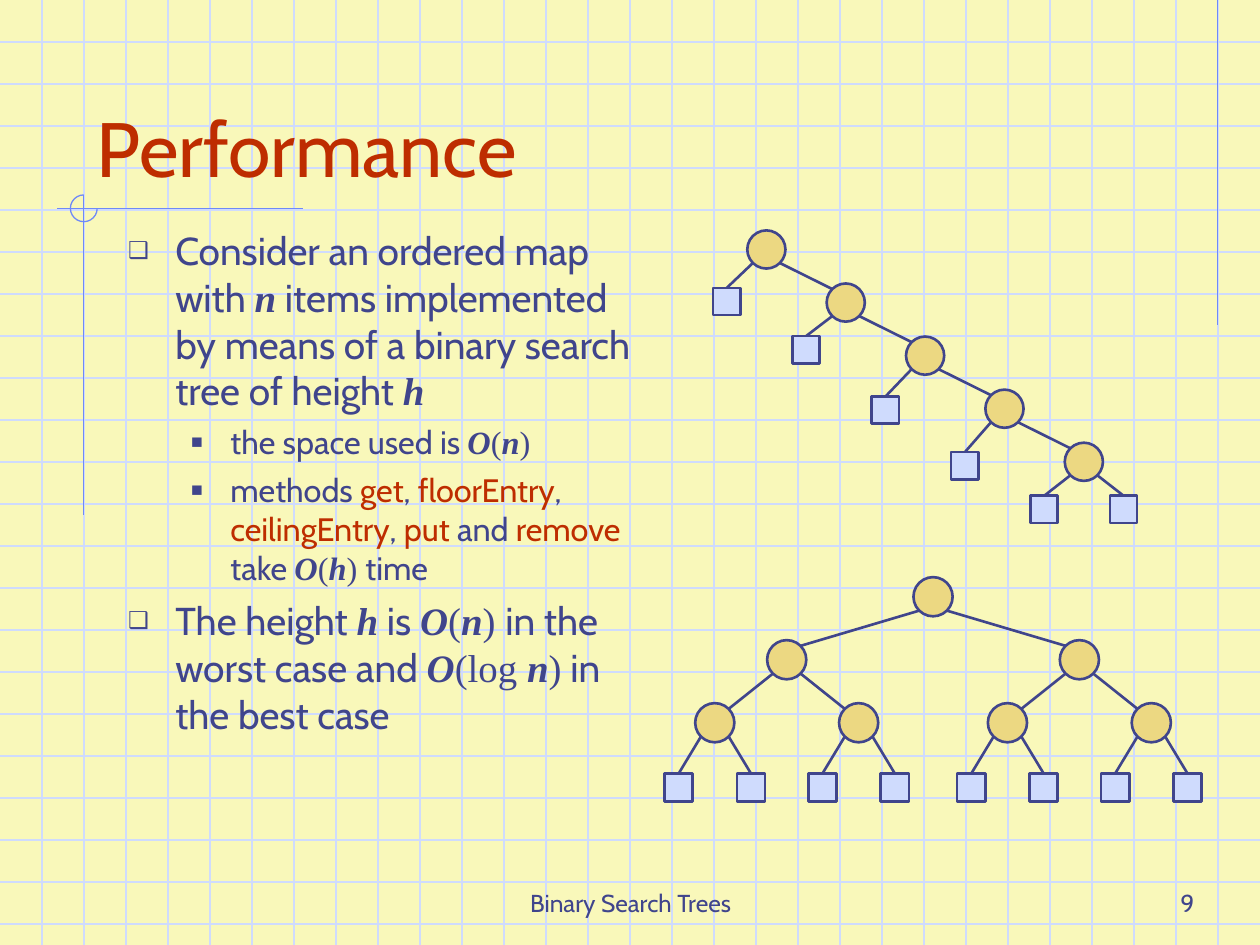
from lxml import etree
from pptx import Presentation
from pptx.dml.color import RGBColor
from pptx.enum.shapes import MSO_CONNECTOR, MSO_SHAPE
from pptx.enum.text import MSO_ANCHOR, MSO_AUTO_SIZE, PP_ALIGN
from pptx.oxml.ns import qn
from pptx.util import Cm, Pt

STRAIGHT = MSO_CONNECTOR.STRAIGHT
OVAL, RECTANGLE, ARC = MSO_SHAPE.OVAL, MSO_SHAPE.RECTANGLE, MSO_SHAPE.ARC
LEFT, CENTER, RIGHT = PP_ALIGN.LEFT, PP_ALIGN.CENTER, PP_ALIGN.RIGHT
BOTTOM = MSO_ANCHOR.BOTTOM

PAPER, GRID, RULE = "F9F8BA", "CFDBFD", "6F89F7"
INK, RED, GOLD = "40458C", "BE2D00", "ECD882"
SANS, SERIF = "Cabin", "Times New Roman"
WIDTH, HEIGHT, GRID_STEP = 25.4, 19.05, 2.54 / 3

# Run styles: font, bold italic, colour
WORDS, VARIABLE, MATH, METHOD = (
    (SANS, False, INK), (SERIF, True, INK), (SERIF, False, INK), (SANS, False, RED))

TITLE = "Performance"
# Level, then runs
POINTS = [
    (0, [("Consider an ordered map with ", WORDS), ("n", VARIABLE),
         (" items implemented by means of a binary search tree of height ", WORDS),
         ("h", VARIABLE)]),
    (1, [("the space used is ", WORDS), ("O", VARIABLE), ("(", MATH),
         ("n", VARIABLE), (")", MATH)]),
    (1, [("methods ", WORDS), ("get", METHOD), (", ", WORDS), ("floorEntry", METHOD),
         (", ", WORDS), ("ceilingEntry", METHOD), (",", WORDS), (" put ", METHOD),
         ("and ", WORDS), ("remove", METHOD), (" take ", WORDS), ("O", VARIABLE),
         ("(", MATH), ("h", VARIABLE), (") ", MATH), ("time", WORDS)]),
    (0, [("The height ", WORDS), ("h", VARIABLE), (" is ", WORDS), ("O", VARIABLE),
         ("(", MATH), ("n", VARIABLE), (") ", MATH), ("in the worst case and ", WORDS),
         ("O", VARIABLE), ("(log ", MATH), ("n", VARIABLE), (")", MATH),
         (" in the best case", WORDS)]),
]
# Per level: bullet, size, space before, left margin, hanging indent
LEVELS = [("❑", 22.2, 6, 0.95, 0.95), ("■", 18.5, 5, 2.06, 0.79)]
# Text, alignment, left, width
FOOTERS = [("Binary Search Trees", CENTER, 8.69, 8.05), ("9", RIGHT, 19.05, 5.28)]
# Start x, start y, end x, end y
RULES = [(24.55, 0, 24.55, 6.55), (6.1, 4.21, 1.14, 4.21), (1.69, 3.93, 1.69, 10.39)]

# Trees are nested (x, y, children); a leaf has no children
SKEWED_ROOT, SKEWED_STEP = (15.45, 5.03), (1.6, 1.07)
SKEWED_LEAF_Y = [6.08, 7.05, 8.27, 9.39, 10.27]
FULL_ROOT = (18.81, 12.03)
# Half the gap between two siblings, and their y
FULL_LEVELS = [(2.95, 13.3), (1.45, 14.57), (0.73, 15.88)]


def color(hex_code):
    return RGBColor.from_string(hex_code)


def add_line(x1, y1, x2, y2, hue, points):
    line = slide.shapes.add_connector(STRAIGHT, Cm(x1), Cm(y1), Cm(x2), Cm(y2))
    line.line.color.rgb = color(hue)
    line.line.width = Pt(points)
    etree.SubElement(line._element.spPr, qn("a:effectLst"))


def add_centered(kind, x, y, size, fill, outline, points):
    """Add a square-sized shape around (x, y); a fill of None leaves it open."""
    shape = slide.shapes.add_shape(
        kind, Cm(x - size / 2), Cm(y - size / 2), Cm(size), Cm(size))
    shape.shadow.inherit = False
    if fill:
        shape.fill.solid()
        shape.fill.fore_color.rgb = color(fill)
    else:
        shape.fill.background()
    shape.line.color.rgb = color(outline)
    shape.line.width = Pt(points)
    return shape


def add_run(paragraph, text, size, style):
    run = paragraph.add_run()
    run.text = text
    font = run.font
    font.size = Pt(size)
    font.name, font.bold, hue = style
    font.italic = font.bold
    font.color.rgb = color(hue)


def place(box, left, top, width, height):
    box.left, box.top, box.width, box.height = Cm(left), Cm(top), Cm(width), Cm(height)
    box.text_frame.word_wrap = True
    box.text_frame.auto_size = MSO_AUTO_SIZE.NONE


def set_bullet(paragraph, mark, margin, hang):
    props = paragraph._p.get_or_add_pPr()
    props.set("marL", str(Cm(margin)))
    props.set("indent", str(-Cm(hang)))
    hue = etree.SubElement(props, qn("a:buClr"))
    etree.SubElement(hue, qn("a:srgbClr"), val=INK)
    etree.SubElement(props, qn("a:buSzPct"), val="60000")
    etree.SubElement(props, qn("a:buChar"), char=mark)


def skewed_tree(depth=0):
    x = SKEWED_ROOT[0] + depth * SKEWED_STEP[0]
    y = SKEWED_ROOT[1] + depth * SKEWED_STEP[1]
    half, leaf_y = SKEWED_STEP[0] / 2, SKEWED_LEAF_Y[depth]
    is_last = depth == len(SKEWED_LEAF_Y) - 1
    right = (x + half, leaf_y, []) if is_last else skewed_tree(depth + 1)
    return x, y, [(x - half, leaf_y, []), right]


def full_tree(x, y, levels):
    if not levels:
        return x, y, []
    half, child_y = levels[0]
    return x, y, [full_tree(x + side * half, child_y, levels[1:]) for side in (-1, 1)]


def draw_tree(tree, node_size, leaf_size):
    """Draw a tree whose edges meet each circle at 45 degrees and each leaf on top."""
    x, y, children = tree
    if not children:
        add_centered(RECTANGLE, x, y, leaf_size, GRID, INK, 1.5)
        return
    diagonal = node_size / 2 * 0.71
    for side, child in zip((-1, 1), children):
        child_x, child_y, grandchildren = child
        if grandchildren:
            end_x, end_y = child_x - side * diagonal, child_y - diagonal
        else:
            end_x, end_y = child_x, child_y - leaf_size / 2
        add_line(x + side * diagonal, y + diagonal, end_x, end_y, INK, 1.5)
        draw_tree(child, node_size, leaf_size)
    add_centered(OVAL, x, y, node_size, GOLD, INK, 1.5)


prs = Presentation()
prs.slide_width, prs.slide_height = Cm(WIDTH), Cm(HEIGHT)
slide = prs.slides.add_slide(prs.slide_layouts[1])
slide.background.fill.solid()
slide.background.fill.fore_color.rgb = color(PAPER)

for row in range(1, int(HEIGHT / GRID_STEP) + 1):
    add_line(0, row * GRID_STEP, WIDTH, row * GRID_STEP, GRID, 0.75)
for column in range(1, round(WIDTH / GRID_STEP)):
    add_line(column * GRID_STEP, 0, column * GRID_STEP, HEIGHT, GRID, 0.75)
for rule in RULES:
    add_line(*rule, RULE, 0.75)
ring = add_centered(ARC, 1.69, 4.2, 0.54, None, RULE, 0.75)
ring.adjustments[0], ring.adjustments[1] = 0, 162  # three quarters of a turn

for text, alignment, left, width in FOOTERS:
    footer = slide.shapes.add_textbox(0, 0, 0, 0)
    place(footer, left, 17.35, width, 1.27)
    footer.text_frame.vertical_anchor = BOTTOM
    paragraph = footer.text_frame.paragraphs[0]
    paragraph.alignment = alignment
    add_run(paragraph, text, 14, WORDS)

title, body = slide.shapes.title, slide.placeholders[1]
for placeholder in (title, body):  # bring in front of the grid
    slide.shapes._spTree.append(placeholder._element)
place(title, 1.69, 0.85, 21.59, 3.17)
title.text_frame.vertical_anchor = BOTTOM
title.text_frame.paragraphs[0].alignment = LEFT
add_run(title.text_frame.paragraphs[0], TITLE, 44, METHOD)

place(body, 2.33, 4.45, 10.8, 12.9)
for index, (level, runs) in enumerate(POINTS):
    frame = body.text_frame
    paragraph = frame.add_paragraph() if index else frame.paragraphs[0]
    mark, size, space, margin, hang = LEVELS[level]
    paragraph.level = level
    set_bullet(paragraph, mark, margin, hang)
    paragraph.space_before = Pt(space if index else 0)
    for text, style in runs:
        add_run(paragraph, text, size, style)

draw_tree(skewed_tree(), 0.77, 0.55)
draw_tree(full_tree(*FULL_ROOT, FULL_LEVELS), 0.79, 0.57)

prs.save("out.pptx")
